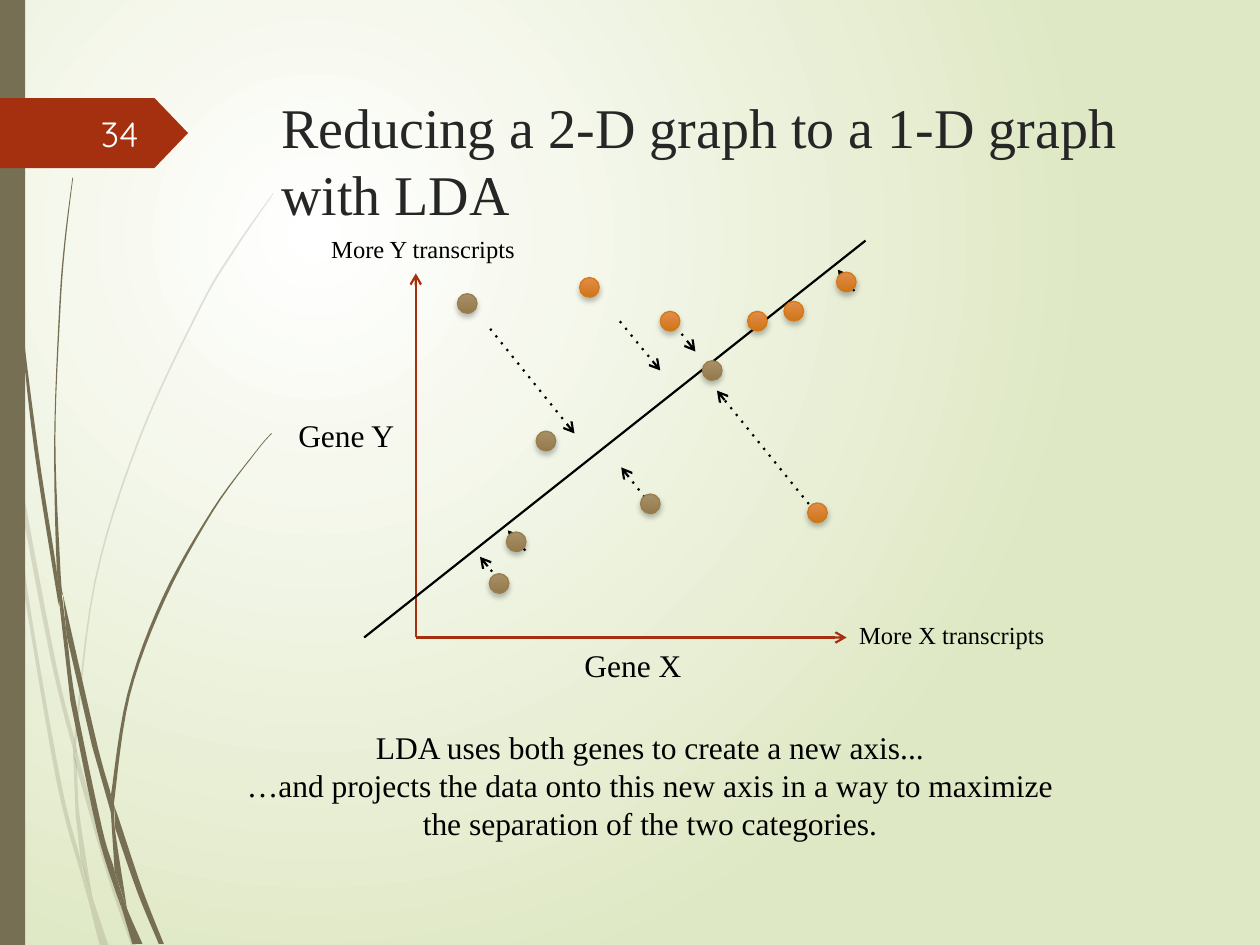
from lxml.etree import SubElement
from pptx import Presentation
from pptx.dml.color import RGBColor
from pptx.enum.dml import MSO_LINE
from pptx.enum.shapes import MSO_CONNECTOR, MSO_SHAPE
from pptx.enum.text import MSO_ANCHOR, MSO_AUTO_SIZE, PP_ALIGN
from pptx.oxml.ns import qn
from pptx.util import Pt

WIDTH, HEIGHT = 720, 540
SERIF, SANS = "Times New Roman", "Quicksand"
COLORS = {
    "white": "FFFFFF", "green": "DFE8C4", "olive": "766F54", "red": "A53010",
    "title": "262626", "black": "000000", "number": "FEFFFF",
}
DOT_COLORS = {
    "brown": ("A89068", "947A4B", "987D4D"),
    "orange": ("E18D4C", "CF7516", "D47817"),
}

TITLE = "Reducing a 2-D graph to a 1-D graph with LDA"
CAPTION = [
    "LDA uses both genes to create a new axis...",
    "…and projects the data onto this new axis in a way to maximize the separation of the two categories.",
]
LABELS = [
    ("More X transcripts", 14, (483.8, 350.6, 121, 24.5)),
    ("More Y transcripts", 14, (182.2, 130.3, 124, 24.5)),
    ("Gene Y", 18, (163.4, 234, 69.8, 28.8)),
    ("Gene X", 18, (326.9, 365.8, 70.6, 28.8)),
]
DOT_SIZE = 11.2
DOTS = {
    "brown": [(267, 173.4), (285.2, 333.4), (295, 309.6), (312, 252), (371.6, 287.9), (407, 211.7)],
    "orange": [(453.6, 177.8), (432.8, 183.5), (467.1, 293), (336.8, 164.2), (382.9, 183.5), (483.6, 161.1)],
}
AXES = [(237.6, 364.3, 237.6, 156.2), (237.6, 364.3, 483.8, 364.3)]
LDA_AXIS = (494.6, 137.5, 208.1, 364.3)
PROJECTIONS = [
    (300.2, 314.6, 290.2, 303.1), (280.1, 187.9, 328.3, 247.7), (354.2, 183.6, 377.3, 211.7),
    (371.5, 288, 355, 267.1), (462.2, 288, 409.7, 223.2), (284.4, 330.5, 274.3, 318.2),
    (389.5, 190.8, 397.4, 200.9), (488.2, 166.3, 478.8, 154.1),
]

PALE_STRANDS = [
    ([(0, 203), (4.3, 231.8), (5.8, 252)], [(5, 247.7), (0, 215.3)]),
    ([(7.2, 248.4), (31, 374.4), (42.5, 421.9)], [(42.5, 431.3), (28.8, 375.8), (8.6, 270.7)]),
    ([(43.9, 429.1), (46.1, 437), (63.4, 498.2), (77.8, 540)], [(74.9, 540), (61.2, 499.7), (43.9, 439.2)]),
    ([(5.8, 252), (8.6, 270.7), (15.8, 337.7), (34.6, 445.7), (46.1, 491.8), (50.4, 514.1)],
     [(46.1, 499), (32.4, 447.1), (13.7, 338.4)]),
    ([(41.8, 431.3), (43.9, 437.8), (45.4, 465.1), (52.6, 511.9)], [(46.1, 491.8), (43.2, 465.1)]),
    ([(156.2, 110.2), (133.9, 141.8), (113.8, 175.7), (79.2, 250.6), (54, 331.9), (42.5, 421.9)],
     [(43.9, 429.1), (43.9, 420.5), (54.7, 332.6), (79.9, 251.3), (114.5, 176.4), (134.6, 142.6), (156.2, 110.9)]),
    ([(46.8, 491.8), (52.6, 511.9), (61.9, 540)], [(56.9, 540), (50.4, 514.1)]),
    ([(42.5, 421.9), (43.9, 429.1), (43.9, 439.2)], [(41.8, 431.3)]),
]
DARK_STRANDS = [
    ([(2.2, 0), (2.9, 34.6), (4.3, 78.5), (10.8, 167), (21.6, 255.6), (32.4, 326.2), (33.8, 346.3)],
     [(33.1, 343.4), (19.4, 255.6), (10.1, 167.8), (3.6, 79.2), (2.2, 34.6), (1.4, 0)]),
    ([(36, 339.8), (55.4, 424.8), (63.4, 454.3), (63.4, 464.4)], [(52.6, 426.2), (38.2, 363.6)]),
    ([(65.5, 461.5), (67.7, 467.3), (81.4, 508.3), (93.6, 539.3)], [(90.7, 539.3), (78.5, 509.8), (65.5, 472.3)]),
    ([(33.8, 343.4), (38.2, 363.6), (43.2, 400.3), (58.3, 473), (65.5, 497.5), (69.8, 519.8)],
     [(66.2, 509.8), (55.4, 474.5), (40.3, 401)]),
    ([(41.8, 101.5), (37.4, 139), (34.6, 176.4), (31.7, 251.3), (34.6, 326.2), (36, 339.8)],
     [(35.3, 339.8), (32.4, 323.3), (31, 251.3), (33.8, 176.4), (36.7, 139), (41.4, 101.5)]),
    ([(32.4, 323.3), (35.3, 339.8), (38.2, 363.6)], [(33.8, 343.4)]),
    ([(155.5, 247.7), (146.2, 258.5), (121.7, 292.3), (94.3, 342.7), (74.2, 397.4), (65.5, 455.8), (65.5, 461.5)],
     [(63.4, 454.3), (72.7, 396.7), (92.9, 341.3), (121, 291.6), (146.2, 257.8), (154.8, 247.7)]),
    ([(63.4, 454.3), (65.5, 461.5), (65.5, 472.3), (72, 515.5), (72, 517.7)], [(65.5, 497.5), (63.4, 464.4)]),
    ([(65.5, 497.5), (72, 517.7), (81.4, 539.3)], [(75.6, 539.3), (69.8, 519.8)]),
]


def rgb(name):
    return RGBColor.from_string(COLORS[name])


def paint(shape, color):
    shape.shadow.inherit = False
    shape.fill.solid()
    shape.fill.fore_color.rgb = rgb(color)
    shape.line.fill.background()


def set_gradient(fill, colors):
    fill.gradient()
    for stop, position, color in zip(fill.gradient_stops, (0, 1), colors):
        stop.position = position
        stop.color.rgb = RGBColor.from_string(color)


def smooth(points, steps=6):
    padded = [points[0], *points, points[-1]]
    curve = [points[0]]
    for a, b, c, d in zip(padded, padded[1:], padded[2:], padded[3:]):
        for step in range(1, steps + 1):
            t = step / steps
            curve.append(tuple(
                q + t * (r - p + t * (2 * p - 5 * q + 4 * r - s + t * (3 * (q - r) + s - p))) / 2
                for p, q, r, s in zip(a, b, c, d)))
    return curve


def add_strand(slide, edges, alpha=None):
    outline = [(Pt(x), Pt(y)) for edge in edges for x, y in smooth(edge)]
    builder = slide.shapes.build_freeform(*outline[0])
    builder.add_line_segments(outline[1:], close=True)
    shape = builder.convert_to_shape()
    paint(shape, "olive")
    if alpha:
        color = shape._element.spPr.find(".//" + qn("a:srgbClr"))
        SubElement(color, qn("a:alpha"), val=str(alpha * 1000))


def add_line(slide, ends, color, arrow=False, dotted=False):
    connector = slide.shapes.add_connector(MSO_CONNECTOR.STRAIGHT, *map(Pt, ends))
    connector.line.color.rgb = rgb(color)
    connector.line.width = Pt(1.25)
    properties = connector._element.spPr
    outline = properties.find(qn("a:ln"))
    if dotted:
        connector.line.dash_style = MSO_LINE.ROUND_DOT
        outline.find(qn("a:prstDash")).set("val", "dot")
    if arrow:
        SubElement(outline, qn("a:tailEnd"), type="arrow")
    SubElement(properties, qn("a:effectLst"))


def add_dot(slide, center, colors):
    left, top = (value - DOT_SIZE / 2 for value in center)
    dot = slide.shapes.add_shape(MSO_SHAPE.OVAL, Pt(left), Pt(top), Pt(DOT_SIZE), Pt(DOT_SIZE))
    set_gradient(dot.fill, colors[:2])
    dot.fill.gradient_angle = 270
    dot.line.color.rgb = RGBColor.from_string(colors[2])
    dot.line.width = Pt(0.75)
    dot.shadow.inherit = False
    effects = dot._element.spPr.find(qn("a:effectLst"))
    shadow = SubElement(effects, qn("a:outerShdw"), blurRad=str(Pt(3)), dist=str(Pt(2)), dir="5400000")
    color = SubElement(shadow, qn("a:srgbClr"), val=COLORS["black"])
    SubElement(color, qn("a:alpha"), val="25000")


def write(shape, text, size, color="black", font=SERIF, align=PP_ALIGN.LEFT, wrap=True):
    frame = shape.text_frame
    frame.text = text
    frame.word_wrap = wrap
    frame.auto_size = MSO_AUTO_SIZE.NONE
    for paragraph in frame.paragraphs:
        paragraph.alignment = align
        for run in paragraph.runs:
            run.font.size = Pt(size)
            run.font.name = font
            run.font.color.rgb = rgb(color)


def main():
    presentation = Presentation()
    presentation.slide_width, presentation.slide_height = Pt(WIDTH), Pt(HEIGHT)
    slide = presentation.slides.add_slide(presentation.slide_layouts[5])
    shapes = slide.shapes

    set_gradient(slide.background.fill, (COLORS["white"], COLORS["green"]))
    linear = slide.element.find(".//" + qn("a:lin"))
    gradient = linear.getparent()
    gradient.remove(linear)
    circle = SubElement(gradient, qn("a:path"), path="circle")
    SubElement(circle, qn("a:fillToRect"), l="50000", t="50000", r="100000", b="100000")

    for edges in PALE_STRANDS:
        add_strand(slide, edges, alpha=20)
    for edges in DARK_STRANDS:
        add_strand(slide, edges)
    paint(shapes.add_shape(MSO_SHAPE.RECTANGLE, 0, 0, Pt(14.4), Pt(HEIGHT)), "olive")
    badge = shapes.add_shape(MSO_SHAPE.PENTAGON, 0, Pt(56), Pt(107.5), Pt(40))
    badge.adjustments[0] = 0.48
    paint(badge, "red")

    title = shapes.title
    title.left, title.top, title.width, title.height = map(Pt, (153.4, 49, 519, 100.8))
    write(title, TITLE, 32, "title")
    title.text_frame.vertical_anchor = MSO_ANCHOR.TOP

    for ends in AXES:
        add_line(slide, ends, "red", arrow=True)
    add_line(slide, LDA_AXIS, "black")
    for ends in PROJECTIONS:
        add_line(slide, ends, "black", arrow=True, dotted=True)
    for group, centers in DOTS.items():
        for center in centers:
            add_dot(slide, center, DOT_COLORS[group])

    for text, size, box in LABELS:
        write(shapes.add_textbox(*map(Pt, box)), text, size, wrap=False)
    caption = shapes.add_textbox(*map(Pt, (128.2, 412.6, 486.7, 72.7)))
    write(caption, "\n".join(CAPTION), 18, align=PP_ALIGN.CENTER)
    number = shapes.add_textbox(*map(Pt, (40.3, 61.9, 46, 28.8)))
    write(number, "34", 20, "number", SANS, PP_ALIGN.RIGHT)
    number.text_frame.vertical_anchor = MSO_ANCHOR.MIDDLE

    presentation.save("out.pptx")


if __name__ == "__main__":
    main()
